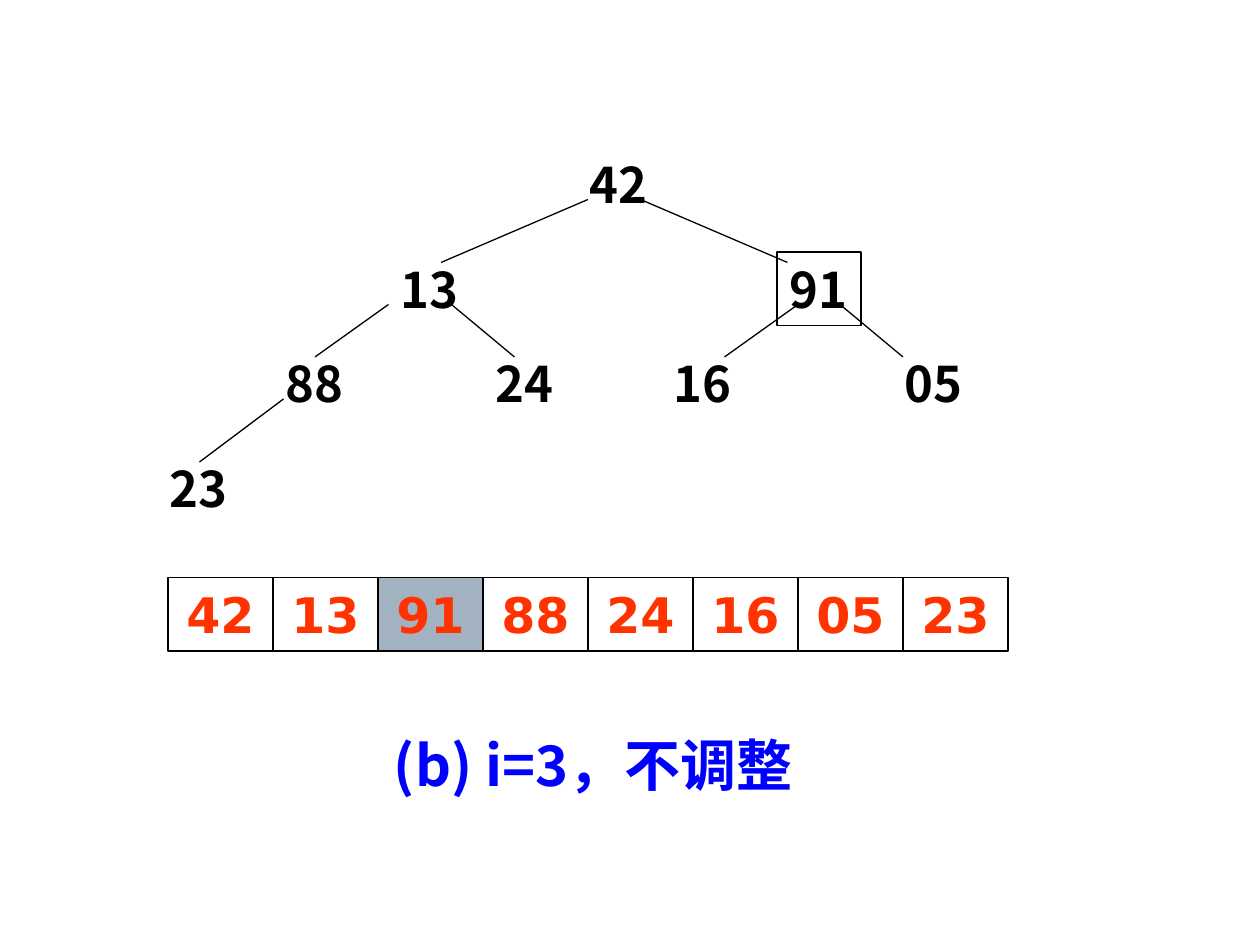
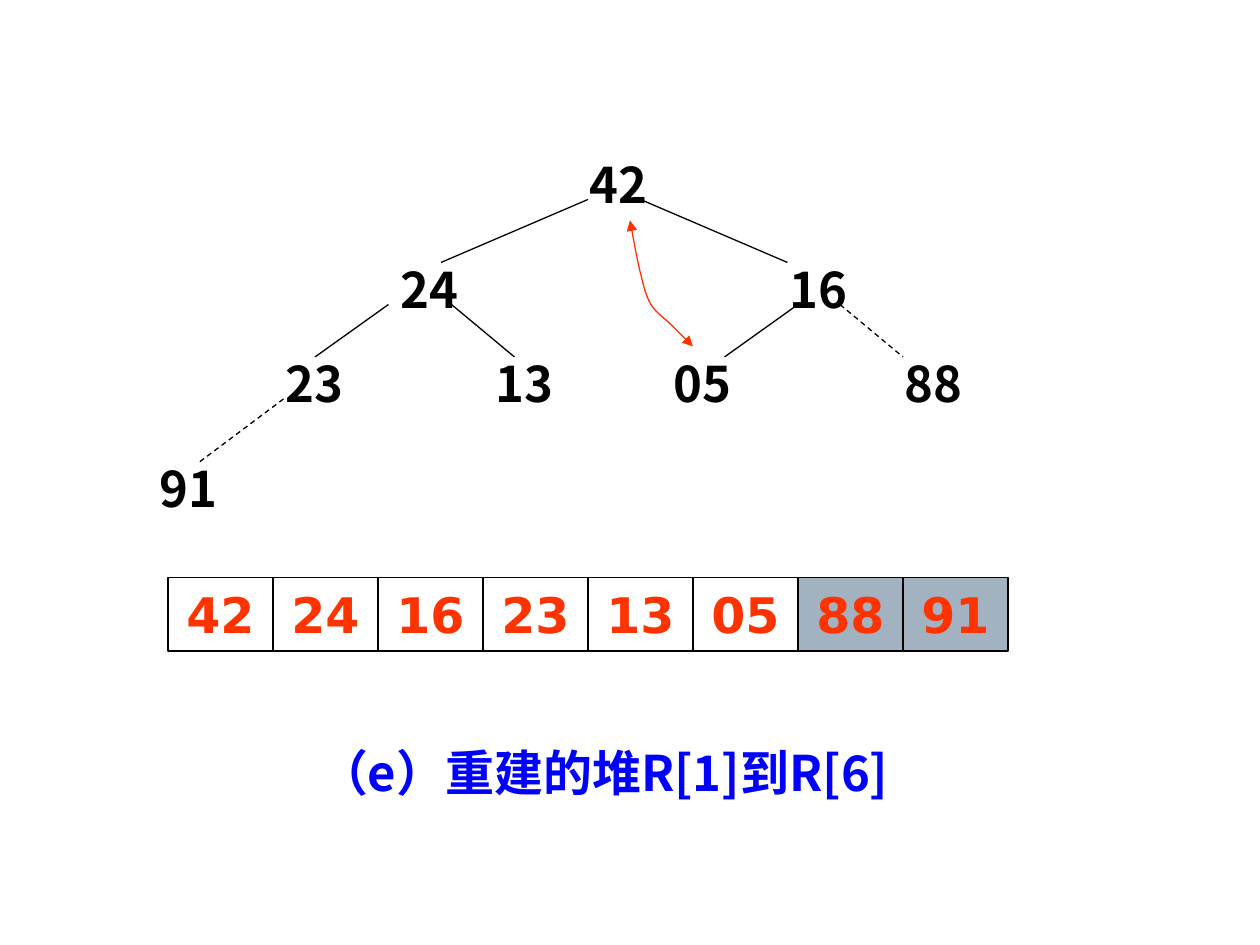
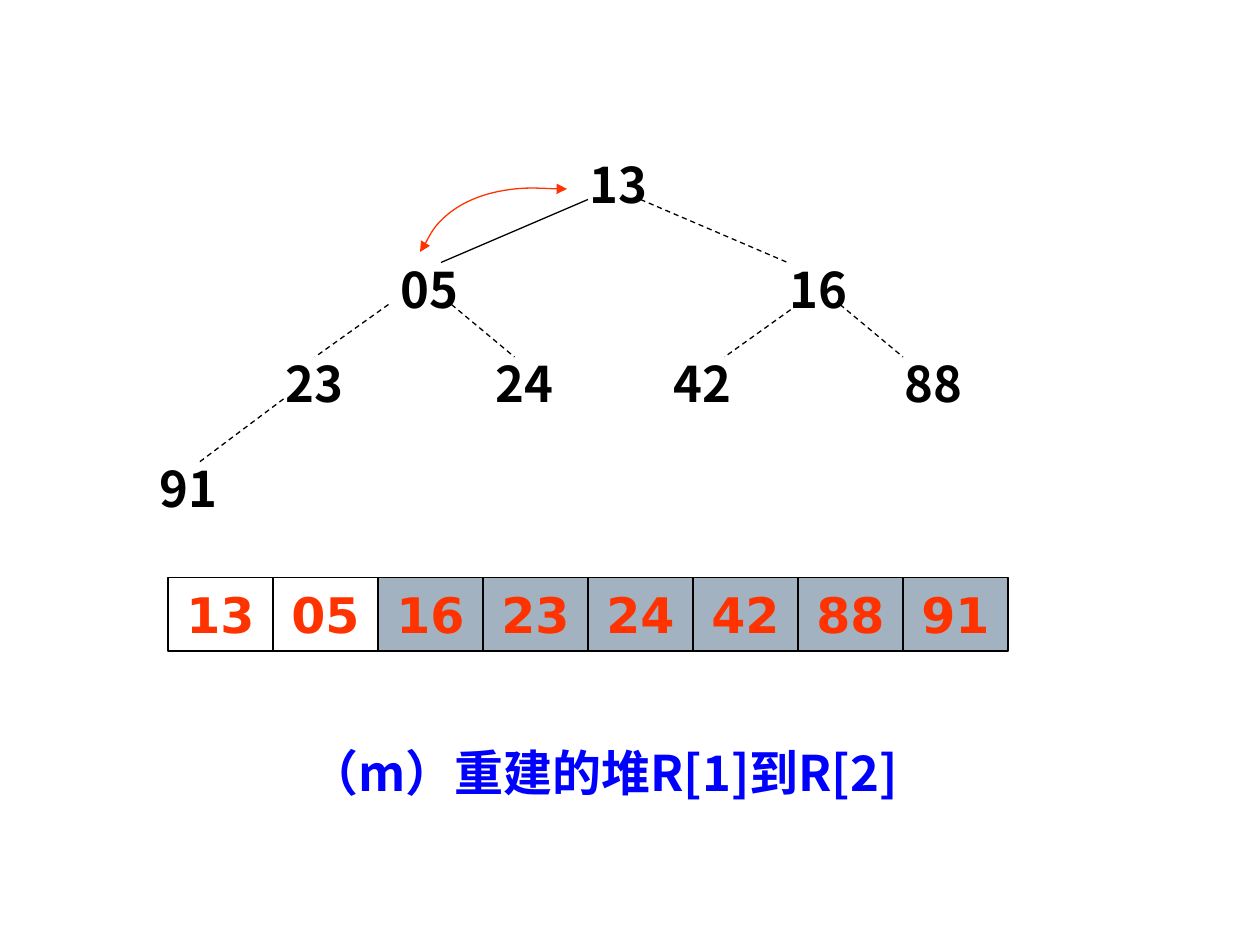
import pptx
import pptx.util
import pptx.dml.color
import pptx.enum.dml
import pptx.enum.shapes
import pptx.enum.text
import pptx.oxml.ns
from lxml import etree

COLORS = {"ink": "000000", "value": "FF3300", "sorted": "A3B2C1", "caption": "0000FF"}
TREE_FONT = "Noto Sans CJK SC"
ARRAY_FONT = "DejaVu Sans"
COLUMNS, ROWS = 120, 90
UNIT = pptx.util.Inches(10) // COLUMNS
CURVE_STEPS = 100
BLANK_LAYOUT = 6
NODE_SIZE = (8, 7)
NODE_SPOTS = [(55, 14), (37, 24), (74, 24), (26, 33), (46, 33), (63, 33), (85, 33)]
EDGES = [
    ((56, 19), (42, 25)), ((61, 19), (75, 25)),
    ((37, 29), (30, 34)), ((43, 29), (49, 34)),
    ((76, 29), (69, 34)), ((80, 29), (86, 34)),
    ((27, 38), (19, 44)),
]
ARRAY_LEFT, ARRAY_TOP = 16, 55
CELL_WIDTH, CELL_HEIGHT = 10, 7

STEPS = [
    {"values": "42 13 91 88 24 16 05 23", "heap_size": 8, "shaded": [2], "boxed": 2,
     "last_leaf": (15, 43), "caption": "(b) i=3，不调整",
     "caption_area": (28, 69, 57, 7.5), "caption_size": 32},
    {"values": "42 24 16 23 13 05 88 91", "heap_size": 6, "shaded": [6, 7],
     "last_leaf": (14, 43), "caption": "（e）重建的堆R[1]到R[6]",
     "swap": [(66, 33), (64, 31), (62, 29), (61, 26), (60, 21)]},
    {"values": "13 05 16 23 24 42 88 91", "heap_size": 2, "shaded": range(2, 8),
     "last_leaf": (14, 43), "caption": "（m）重建的堆R[1]到R[2]",
     "swap": [(40, 24), (42, 21), (45, 19), (49, 18), (54, 18)]},
]


def grid(*lengths):
    return [round(length * UNIT) for length in lengths]


def rgb(name):
    return pptx.dml.color.RGBColor.from_string(COLORS[name])


def sub(parent, tag, **attributes):
    return etree.SubElement(parent, pptx.oxml.ns.qn(tag), **attributes)


def outline(line, color):
    line.color.rgb = rgb(color)
    line.width = pptx.util.Pt(0.75)


def write(shape, text, font_name, size, color, align):
    frame = shape.text_frame
    frame.word_wrap = True
    frame.vertical_anchor = pptx.enum.text.MSO_ANCHOR.MIDDLE
    paragraph = frame.paragraphs[0]
    paragraph.alignment = align
    run = paragraph.add_run()
    run.text = text
    run.font.size = pptx.util.Pt(size)
    run.font.bold = True
    run.font.color.rgb = rgb(color)
    run.font.name = font_name
    sub(run.font._element, "a:ea", typeface=font_name)


def add_box(slide, area, fill=None):
    box = slide.shapes.add_shape(pptx.enum.shapes.MSO_SHAPE.RECTANGLE, *grid(*area))
    box.shadow.inherit = False
    if fill:
        box.fill.solid()
        box.fill.fore_color.rgb = rgb(fill)
    else:
        box.fill.background()
    outline(box.line, "ink")
    return box


def add_node(slide, spot, value, boxed):
    area = (*spot, *NODE_SIZE)
    node = add_box(slide, area) if boxed else slide.shapes.add_textbox(*grid(*area))
    write(node, value, TREE_FONT, 28, "ink", pptx.enum.text.PP_ALIGN.LEFT)


def add_edge(slide, parent, child, dashed):
    edge = slide.shapes.add_connector(
        pptx.enum.shapes.MSO_CONNECTOR.STRAIGHT, *grid(*parent, *child))
    outline(edge.line, "ink")
    if dashed:
        edge.line.dash_style = pptx.enum.dml.MSO_LINE.DASH
    sub(edge._element.spPr, "a:effectLst")


def add_tree(slide, values, heap_size, last_leaf, boxed):
    for index, (spot, value) in enumerate(zip(NODE_SPOTS + [last_leaf], values)):
        add_node(slide, spot, value, index == boxed)
    for child, (start, end) in enumerate(EDGES, start=1):
        add_edge(slide, start, end, child >= heap_size)


def add_array(slide, values, shaded):
    for index, value in enumerate(values):
        area = (ARRAY_LEFT + index * CELL_WIDTH, ARRAY_TOP, CELL_WIDTH, CELL_HEIGHT)
        cell = add_box(slide, area, "sorted" if index in shaded else None)
        write(cell, value, ARRAY_FONT, 28, "value", pptx.enum.text.PP_ALIGN.CENTER)


def beyond(end, inner):
    return tuple(2 * e - i for e, i in zip(end, inner))


def add_swap_arrow(slide, stops):
    stops = [(x * CURVE_STEPS, y * CURVE_STEPS) for x, y in stops]
    builder = slide.shapes.build_freeform(*stops[0], scale=UNIT / CURVE_STEPS)
    builder.add_line_segments(stops[1:], close=False)
    arrow = builder.convert_to_shape()
    arrow.shadow.inherit = False
    arrow.fill.background()
    outline(arrow.line, "value")
    for end in ("a:headEnd", "a:tailEnd"):
        sub(arrow.line._get_or_add_ln(), end, type="triangle")

    origin = [min(axis) for axis in zip(*stops)]
    track = [beyond(stops[0], stops[1]), *stops, beyond(stops[-1], stops[-2])]
    segments = arrow._element.xpath(".//a:lnTo")
    for segment, before, start, end, after in zip(
            segments, track, track[1:], track[2:], track[3:]):
        leaving = [s + (e - b) / 6 for b, s, e in zip(before, start, end)]
        arriving = [e - (a - s) / 6 for s, e, a in zip(start, end, after)]
        curve = etree.Element(pptx.oxml.ns.qn("a:cubicBezTo"))
        for point in (leaving, arriving, end):
            x, y = (round(p - o) for p, o in zip(point, origin))
            sub(curve, "a:pt", x=str(x), y=str(y))
        segment.getparent().replace(segment, curve)


def add_caption(slide, text, area, size):
    caption = slide.shapes.add_textbox(*grid(*area))
    write(caption, text, TREE_FONT, size, "caption", pptx.enum.text.PP_ALIGN.CENTER)


def add_step(deck, step):
    slide = deck.slides.add_slide(deck.slide_layouts[BLANK_LAYOUT])
    values = step["values"].split()
    add_tree(slide, values, step["heap_size"], step["last_leaf"], step.get("boxed"))
    add_array(slide, values, step["shaded"])
    add_caption(slide, step["caption"], step.get("caption_area", (23, 70, 69, 7)),
                step.get("caption_size", 28))
    if "swap" in step:
        add_swap_arrow(slide, step["swap"])


def main():
    deck = pptx.Presentation()
    deck.slide_width, deck.slide_height = grid(COLUMNS, ROWS)
    for step in STEPS:
        add_step(deck, step)
    deck.save("out.pptx")


if __name__ == "__main__":
    main()
